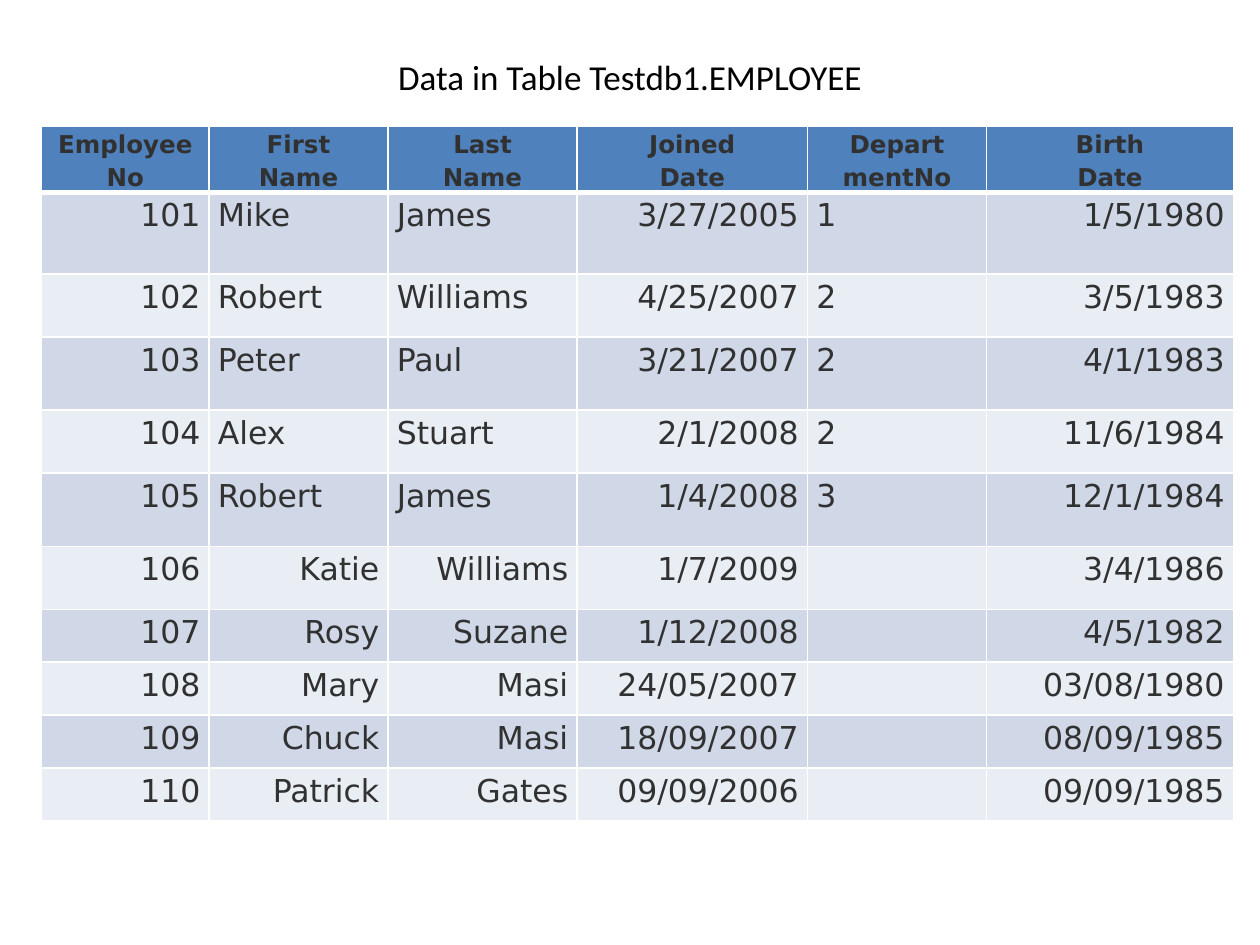
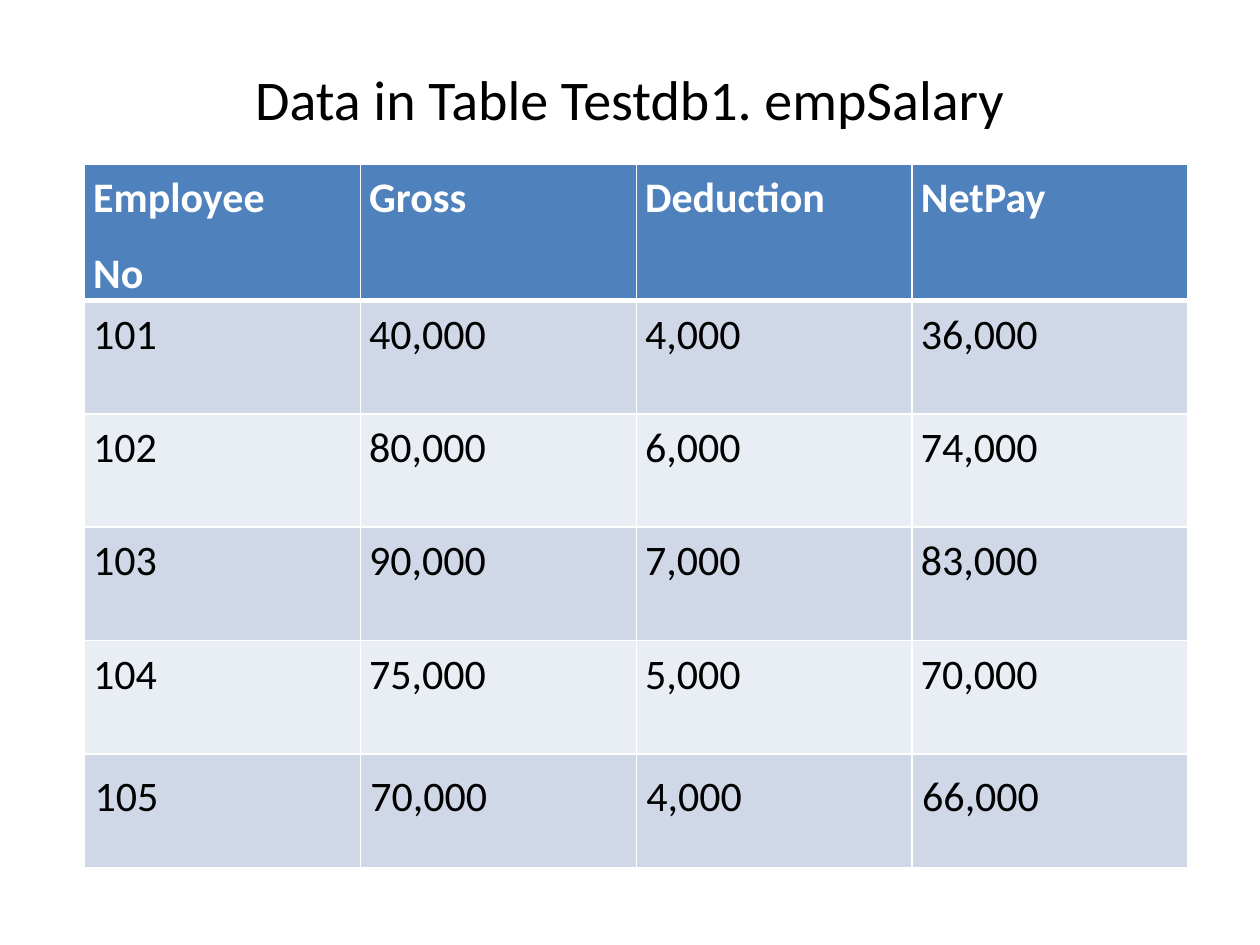
from pptx import Presentation
from pptx.dml.color import RGBColor
from pptx.enum.text import MSO_ANCHOR, PP_ALIGN
from pptx.oxml.ns import qn
from pptx.util import Inches, Pt
from lxml import etree

LEFT, CENTER, RIGHT = PP_ALIGN.LEFT, PP_ALIGN.CENTER, PP_ALIGN.RIGHT
TOP, MIDDLE = MSO_ANCHOR.TOP, MSO_ANCHOR.MIDDLE

THEME = {
    "black": "000000", "white": "FFFFFF", "ink": "313131",
    "header": "4F81BD", "bands": ("D0D8E8", "E9EDF4"),
    "font": "Calibri", "data_font": "DejaVu Sans",
    "employee_header": 14, "employee_body": 18, "salary": 24,
    "grid": 1, "header_rule": 3, "line_spacing": 1.15, "space_after": 10,
}

EMPLOYEE_HEADER = ["EmployeeNo", "First\nName", "Last\nName",
                   "Joined\nDate", "Depart\nmentNo", "Birth\nDate"]
EMPLOYEES = [
    ("101", "Mike", "James", "3/27/2005", "1", "1/5/1980"),
    ("102", "Robert", "Williams", "4/25/2007", "2", "3/5/1983"),
    ("103", "Peter", "Paul", "3/21/2007", "2", "4/1/1983"),
    ("104", "Alex", "Stuart", "2/1/2008", "2", "11/6/1984"),
    ("105", "Robert", "James", "1/4/2008", "3", "12/1/1984"),
    ("106", "Katie", "Williams", "1/7/2009", "", "3/4/1986"),
    ("107", "Rosy", "Suzane", "1/12/2008", "", "4/5/1982"),
    ("108", "Mary", "Masi", "24/05/2007", "", "03/08/1980"),
    ("109", "Chuck", "Masi", "18/09/2007", "", "08/09/1985"),
    ("110", "Patrick", "Gates", "09/09/2006", "", "09/09/1985"),
]
SALARY_HEADER = ["Employee\nNo", "Gross", "Deduction", "NetPay"]
SALARIES = [
    ("101", "40,000", "4,000", "36,000"),
    ("102", "80,000", "6,000", "74,000"),
    ("103", "90,000", "7,000", "83,000"),
    ("104", "75,000", "5,000", "70,000"),
    ("105", "70,000", "4,000", "66,000"),
]


def employee_format(row, col):
    """Return the format of one cell of the employee table."""
    fmt = {"font": THEME["data_font"], "color": THEME["ink"],
           "insets": (0.07, 0, 0.07, 0), "after": 0}
    if row == 0:
        return {**fmt, "size": THEME["employee_header"], "align": CENTER}
    with_department = row <= 5
    left = with_department and col in (1, 2, 4)
    after = THEME["space_after"] if row <= 4 else 0
    return {**fmt, "size": THEME["employee_body"], "after": after,
            "align": LEFT if left else RIGHT}


def salary_format(row, col):
    """Return the format of one cell of the salary table."""
    last = row == len(SALARIES)
    return {"font": THEME["font"], "size": THEME["salary"], "align": LEFT,
            "color": THEME["black"] if row else THEME["white"],
            "insets": (0.08,) * 4 if last else (0.07, 0.01, 0.07, 0),
            "after": THEME["space_after"]}


SLIDES = [
    {"title": "Data in Table Testdb1.EMPLOYEE", "title_size": 20,
     "title_height": 0.62, "at": (0.33, 1),
     "cols": [1.33, 1.42, 1.5, 1.83, 1.42, 1.96],
     "rows": [0.5, 0.65] + [0.5, 0.58] * 2 + [0.5] + [0.42] * 4,
     "cells": [EMPLOYEE_HEADER] + EMPLOYEES, "format": employee_format},
    {"title": "Data in Table Testdb1. empSalary", "title_size": 32,
     "title_height": 0.95, "at": (0.67, 1.3),
     "cols": [2.19] * len(SALARY_HEADER),
     "rows": [1.01] + [0.9] * len(SALARIES),
     "cells": [SALARY_HEADER] + SALARIES, "format": salary_format},
]


def style_run(r, font, size, color, bold=False):
    """Set the font of a run."""
    values = {"name": font, "size": Pt(size), "bold": bold}
    for name, value in values.items():
        setattr(r.font, name, value)
    r.font.color.rgb = RGBColor.from_string(color)


def add_title(s, text, size, height):
    """Place and fill the title placeholder."""
    sp = s.shapes.title
    box = {"left": 0.5, "top": 0.3, "width": 9, "height": height}
    for name, value in box.items():
        setattr(sp, name, Inches(value))
    tf = sp.text_frame
    tf.vertical_anchor = MIDDLE
    p = tf.paragraphs[0]
    p.alignment = CENTER
    r = p.add_run()
    r.text = text
    style_run(r, THEME["font"], size, THEME["black"])


def set_borders(cell, widths):
    """Draw white cell borders; widths are points for left, right, top, bottom."""
    tc_pr = cell._tc.get_or_add_tcPr()
    for i, (side, width) in enumerate(zip("LRTB", widths)):
        line = etree.Element(qn("a:ln" + side), w=str(Pt(width)))
        fill = etree.SubElement(line, qn("a:solidFill"))
        etree.SubElement(fill, qn("a:srgbClr"), val=THEME["white"])
        tc_pr.insert(i, line)


def fill_cell(cell, text, row, fmt):
    """Write and format one table cell."""
    sides = ("left", "top", "right", "bottom")
    for side, inset in zip(sides, fmt["insets"]):
        setattr(cell, "margin_" + side, Inches(inset))
    cell.vertical_anchor = TOP
    cell.fill.solid()
    color = THEME["bands"][(row - 1) % 2] if row else THEME["header"]
    cell.fill.fore_color.rgb = RGBColor.from_string(color)
    grid, rule = THEME["grid"], THEME["header_rule"]
    set_borders(cell, (grid, grid, rule if row == 1 else grid,
                       grid if row else rule))
    if not text:
        return
    tf = cell.text_frame
    for i, line in enumerate(text.split("\n")):
        p = tf.add_paragraph() if i else tf.paragraphs[0]
        layout = {"alignment": fmt["align"], "space_after": Pt(fmt["after"]),
                  "line_spacing": THEME["line_spacing"]}
        for name, value in layout.items():
            setattr(p, name, value)
        r = p.add_run()
        r.text = line
        style_run(r, fmt["font"], fmt["size"], fmt["color"], row == 0)


def add_data_table(s, at, cols, rows, cells, cell_format):
    """Add a banded table with a header row."""
    box = (*at, sum(cols), sum(rows))
    frame = s.shapes.add_table(len(rows), len(cols), *map(Inches, box))
    table = frame.table
    for column, width in zip(table.columns, cols):
        column.width = Inches(width)
    for table_row, height in zip(table.rows, rows):
        table_row.height = Inches(height)
    for i, values in enumerate(cells):
        for j, text in enumerate(values):
            fill_cell(table.cell(i, j), text, i, cell_format(i, j))


def main():
    """Build the presentation."""
    prs = Presentation()
    prs.slide_width, prs.slide_height = Inches(10), Inches(7.5)
    for data in SLIDES:
        s = prs.slides.add_slide(prs.slide_layouts[5])
        add_title(s, data["title"], data["title_size"], data["title_height"])
        add_data_table(s, data["at"], data["cols"], data["rows"],
                       data["cells"], data["format"])
    prs.save("out.pptx")


main()
